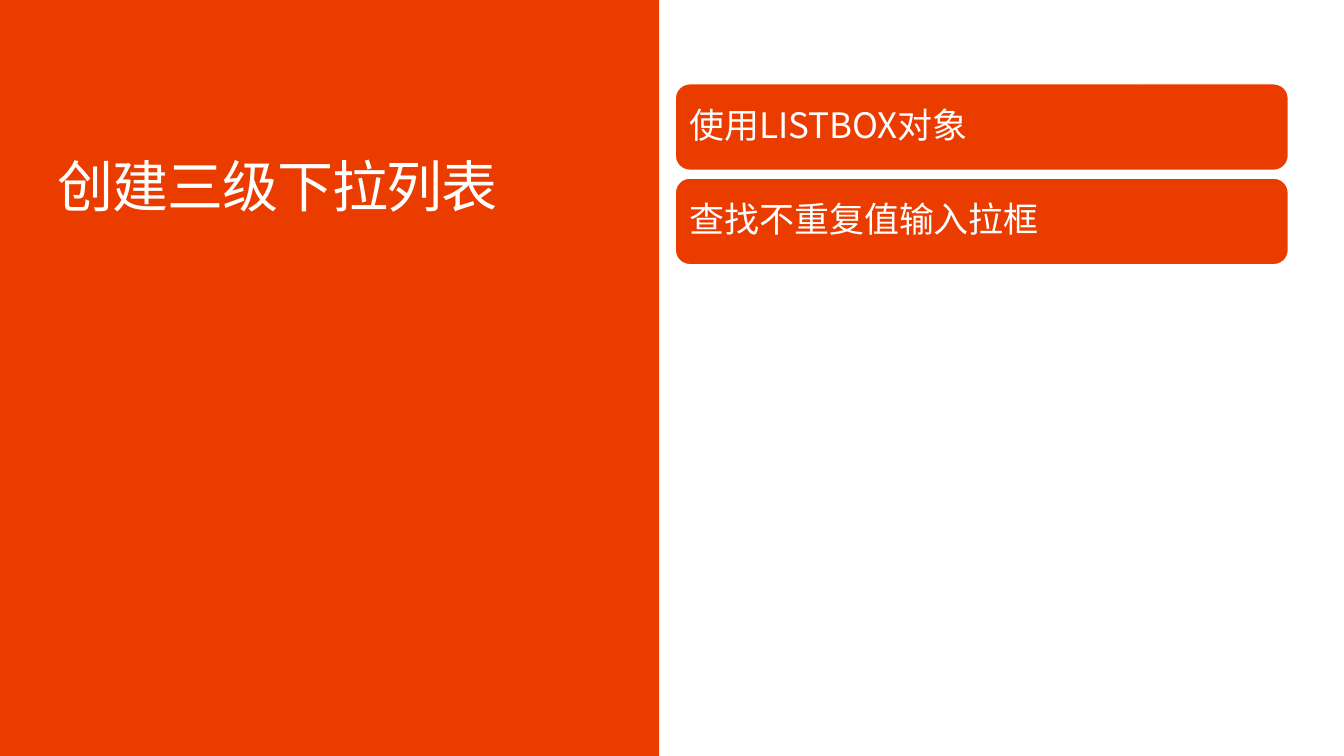
from lxml import etree
from pptx import Presentation
from pptx.dml.color import RGBColor
from pptx.enum.shapes import MSO_SHAPE
from pptx.enum.text import MSO_ANCHOR, PP_ALIGN
from pptx.oxml.ns import qn
from pptx.util import Pt

RECTANGLE = MSO_SHAPE.RECTANGLE
ROUNDED = MSO_SHAPE.ROUNDED_RECTANGLE
TOP = MSO_ANCHOR.TOP
MIDDLE = MSO_ANCHOR.MIDDLE
LEFT = PP_ALIGN.LEFT
FONT = "Noto Sans CJK SC"
COLORS = {"orange": "EB3C00", "white": "FFFFFF"}
TOPICS = ["使用LISTBOX对象", "查找不重复值输入拉框"]
TOPIC_TOP = 59.9
TOPIC_STEP = 67.4


def color(name):
    return RGBColor.from_string(COLORS[name])


def add_panel(page, kind, left, top, width, height):
    panel = page.shapes.add_shape(kind, Pt(left), Pt(top), Pt(width), Pt(height))
    panel.shadow.inherit = False
    panel.fill.solid()
    panel.fill.fore_color.rgb = color("orange")
    panel.line.fill.background()
    return panel


def set_text(box, text, size, anchor, inset):
    frame = box.text_frame
    frame.text = text
    frame.word_wrap = True
    frame.vertical_anchor = anchor
    frame.margin_left = frame.margin_right = Pt(inset)
    frame.margin_top = frame.margin_bottom = Pt(0)
    para = frame.paragraphs[0]
    para.alignment = LEFT
    para.line_spacing = 0.9
    span = para.runs[0]
    span.font.size = Pt(size)
    span.font.name = FONT
    span.font.color.rgb = color("white")
    east_asian = etree.SubElement(span.font._element, qn("a:ea"))
    east_asian.set("typeface", FONT)
    return span


def add_title(page, text):
    box = page.shapes.add_textbox(Pt(41), Pt(113.8), Pt(411.8), Pt(131))
    span = set_text(box, text, 40, TOP, 0)
    span.font._element.set("spc", "-70")


def add_topic(page, text, top):
    bar = add_panel(page, ROUNDED, 482.4, top, 437.8, 61.7)
    bar.line.color.rgb = color("white")
    bar.line.width = Pt(0.85)
    set_text(bar, text, 25, MIDDLE, 7)


def main():
    deck = Presentation()
    deck.slide_width = Pt(960)
    deck.slide_height = Pt(540)
    page = deck.slides.add_slide(deck.slide_layouts[6])
    add_panel(page, RECTANGLE, -0.7, 0, 471.6, 540)
    add_title(page, "创建三级下拉列表")
    for index, topic in enumerate(TOPICS):
        add_topic(page, topic, TOPIC_TOP + index * TOPIC_STEP)
    deck.save("out.pptx")


if __name__ == "__main__":
    main()
